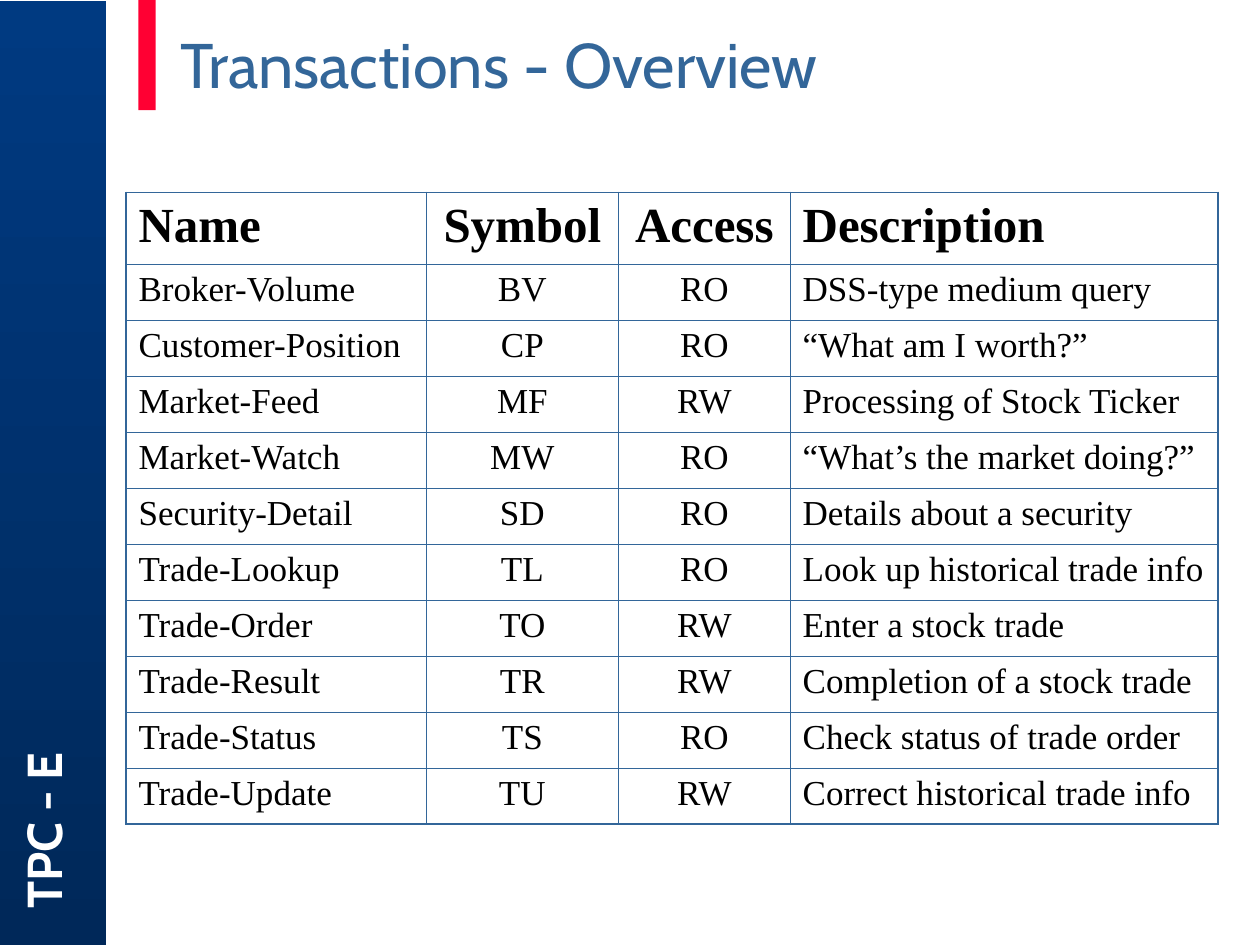
"""Build the slide "Transactions - Overview" with its sidebar and transaction table."""
from lxml import etree
from pptx import Presentation
from pptx import util as u
from pptx.dml.color import RGBColor
from pptx.enum import shapes, text
from pptx.oxml import ns

NAVY = RGBColor(0x00, 0x3A, 0x81)
DEEP_NAVY = RGBColor(0x00, 0x28, 0x59)
RED = RGBColor(0xFF, 0x00, 0x33)
STEEL = RGBColor(0x33, 0x66, 0x99)
WHITE = RGBColor(0xFF, 0xFF, 0xFF)
BLACK = RGBColor(0x00, 0x00, 0x00)

TRANSACTIONS = [
    ("Name", "Symbol", "Access", "Description"),
    ("Broker-Volume", "BV", "RO", "DSS-type medium query"),
    ("Customer-Position", "CP", "RO", "“What am I worth?”"),
    ("Market-Feed", "MF", "RW", "Processing of Stock Ticker"),
    ("Market-Watch", "MW", "RO", "“What’s the market doing?”"),
    ("Security-Detail", "SD", "RO", "Details about a security"),
    ("Trade-Lookup", "TL", "RO", "Look up historical trade info"),
    ("Trade-Order", "TO", "RW", "Enter a stock trade"),
    ("Trade-Result", "TR", "RW", "Completion of a stock trade"),
    ("Trade-Status", "TS", "RO", "Check status of trade order"),
    ("Trade-Update", "TU", "RW", "Correct historical trade info"),
]
COLUMN_WIDTHS = [171.5, 110, 98, 244.5]
ROW_HEIGHTS = [41] + [32] * (len(TRANSACTIONS) - 1)
LEFT, CENTER = text.PP_ALIGN.LEFT, text.PP_ALIGN.CENTER
COLUMN_ALIGNMENTS = [LEFT, CENTER, CENTER, LEFT]
THIN, THICK = u.Pt(0.45), u.Pt(1.08)


def write(paragraph, wording, color, formats):
    paragraph.text = wording
    paragraph.font.color.rgb = color
    for attribute, value in formats.items():
        setattr(paragraph.font, attribute, value)


def add_border(cell, side, width):
    line = etree.SubElement(cell._tc.get_or_add_tcPr(), ns.qn(f"a:ln{side}"), w=str(width))
    fill = etree.SubElement(line, ns.qn("a:solidFill"))
    etree.SubElement(fill, ns.qn("a:srgbClr"), val=str(STEEL))


deck = Presentation()
deck.slide_width, deck.slide_height = u.Pt(720), u.Pt(540)
slide = deck.slides.add_slide(deck.slide_layouts[6])

sidebar = slide.shapes.add_shape(
    shapes.MSO_SHAPE.RECTANGLE, u.Pt(0), u.Pt(0.5), u.Pt(60.5), u.Pt(540))
sidebar.fill.gradient()
sidebar.fill.gradient_angle = 270
for stop, color in zip(sidebar.fill.gradient_stops, (NAVY, DEEP_NAVY)):
    stop.color.rgb = color

accent = slide.shapes.add_shape(
    shapes.MSO_SHAPE.RECTANGLE, u.Pt(79), u.Pt(0), u.Pt(10), u.Pt(63))
accent.fill.solid()
accent.fill.fore_color.rgb = RED

for bar in (sidebar, accent):
    bar.line.fill.background()
    bar.shadow.inherit = False

benchmark = slide.shapes.add_textbox(u.Pt(-221.8), u.Pt(260), u.Pt(492), u.Pt(40.5))
benchmark.rotation = 270
benchmark.text_frame.word_wrap = True
write(benchmark.text_frame.paragraphs[0], "TPC - E", WHITE,
      {"name": "Cabin", "size": u.Pt(28), "bold": True})

title = slide.shapes.add_textbox(u.Pt(96), u.Pt(6), u.Pt(588), u.Pt(60))
title.text_frame.word_wrap = True
title.text_frame.vertical_anchor = text.MSO_ANCHOR.MIDDLE
write(title.text_frame.paragraphs[0], "Transactions - Overview", STEEL,
      {"name": "Cabin", "size": u.Pt(36)})

overview = slide.shapes.add_table(
    len(TRANSACTIONS), len(COLUMN_WIDTHS), u.Pt(72), u.Pt(110),
    u.Pt(sum(COLUMN_WIDTHS)), u.Pt(sum(ROW_HEIGHTS))).table
overview.first_row = overview.horz_banding = False
for column, width in zip(overview.columns, COLUMN_WIDTHS):
    column.width = u.Pt(width)

last_row, last_column = len(TRANSACTIONS) - 1, len(COLUMN_WIDTHS) - 1
for r, transaction in enumerate(TRANSACTIONS):
    overview.rows[r].height = u.Pt(ROW_HEIGHTS[r])
    formats = {"name": "Times New Roman", "size": u.Pt(20 if r else 28), "bold": r == 0}
    for c, wording in enumerate(transaction):
        cell = overview.cell(r, c)
        outer = {"L": c == 0, "R": c == last_column, "T": r == 0, "B": r == last_row}
        for side, is_outer in outer.items():
            add_border(cell, side, THICK if is_outer else THIN)
        cell.fill.background()
        entry = cell.text_frame.paragraphs[0]
        entry.alignment = COLUMN_ALIGNMENTS[c]
        write(entry, wording, BLACK, formats)

deck.save("out.pptx")
